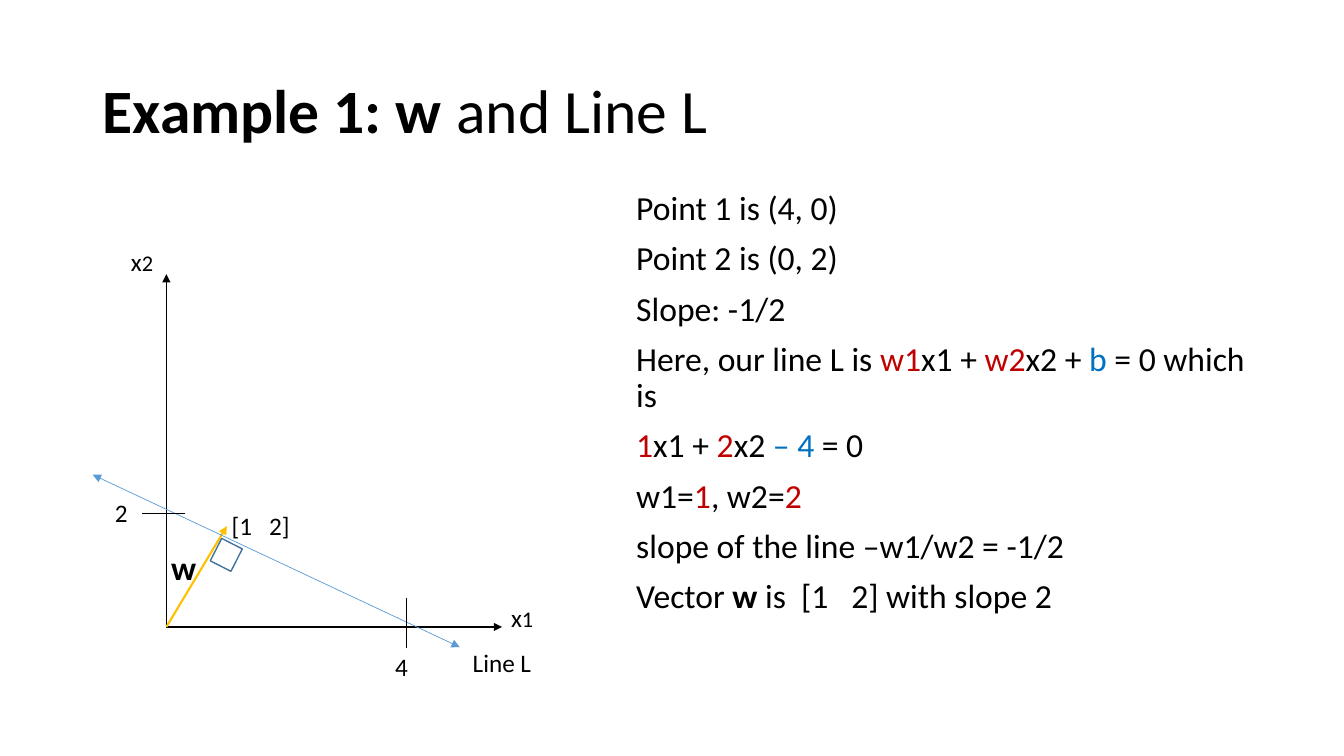
import pptx
import pptx.util
import pptx.dml.color
import pptx.enum.shapes
import pptx.enum.text
import pptx.oxml.ns
import lxml.etree

Inches, Pt = pptx.util.Inches, pptx.util.Pt
qn = pptx.oxml.ns.qn
MSO_ANCHOR = pptx.enum.text.MSO_ANCHOR
COLORS = {"ink": "000000", "weight": "C00000", "bias": "0070C0",
          "vector": "FFC000", "line": "5B9BD5", "square": "43739E"}
FONT = "Calibri"

BODY = [
    [("Point 1 is (4, 0)", "ink")],
    [("Point 2 is (0, 2)", "ink")],
    [("Slope: -1/2", "ink")],
    [("Here, our line L is ", "ink"), ("w1", "weight"), ("x1 + ", "ink"),
     ("w2", "weight"), ("x2 + ", "ink"), ("b", "bias"), (" = 0 which is", "ink")],
    [("1", "weight"), ("x1 + ", "ink"), ("2", "weight"), ("x2 ", "ink"),
     ("– 4 ", "bias"), ("= 0", "ink")],
    [("w1=", "ink"), ("1", "weight"), (", w2=", "ink"), ("2", "weight")],
    [("slope of the line –w1/w2 = -1/2", "ink")],
    [("Vector ", "ink"), ("w ", "ink", True), ("is  [1   2] with slope 2", "ink")],
]


def rgb(name):
    """Return the named colour."""
    return pptx.dml.color.RGBColor.from_string(COLORS[name])


def add_run(p, text, size, color="ink", bold=False):
    """Add one formatted run to a paragraph."""
    r = p.add_run()
    r.text = text
    r.font.name, r.font.size, r.font.bold = FONT, Pt(size), bold
    r.font.color.rgb = rgb(color)


def place(sp, x, y, w, h):
    """Move and size a shape in inches."""
    sp.left, sp.top, sp.width, sp.height = (Inches(v) for v in (x, y, w, h))


def add_title(s, x, y, w, h):
    """Fill the title placeholder."""
    sp = s.shapes.title
    place(sp, x, y, w, h)
    tf = sp.text_frame
    tf.vertical_anchor = MSO_ANCHOR.MIDDLE
    tf.auto_size = pptx.enum.text.MSO_AUTO_SIZE.NONE
    p = tf.paragraphs[0]
    p.alignment = pptx.enum.text.PP_ALIGN.LEFT
    p.line_spacing = 0.9
    add_run(p, "Example 1: w", 44, bold=True)
    add_run(p, " and Line L", 44)


def add_body(s, x, y, w, h):
    """Fill the body placeholder with unbulleted lines."""
    sp = s.placeholders[1]
    place(sp, x, y, w, h)
    tf = sp.text_frame
    tf.auto_size = pptx.enum.text.MSO_AUTO_SIZE.NONE
    for i, runs in enumerate(BODY):
        p = tf.add_paragraph() if i else tf.paragraphs[0]
        pPr = p._p.get_or_add_pPr()
        pPr.set("marL", "0")
        pPr.set("indent", "0")
        lxml.etree.SubElement(pPr, qn("a:buNone"))
        p.line_spacing = 0.9
        p.space_before = Pt(10 if i else 0)
        for text, *style in runs:
            add_run(p, text, 24, *style)


def add_line(s, x1, y1, x2, y2, color, width, head=False, tail=False):
    """Add a straight line with optional triangle arrowheads."""
    cx = s.shapes.add_connector(pptx.enum.shapes.MSO_CONNECTOR.STRAIGHT,
                                Inches(x1), Inches(y1), Inches(x2), Inches(y2))
    cx.line.color.rgb = rgb(color)
    cx.line.width = Pt(width)
    ln = cx.line._get_or_add_ln()
    for tag, shown in (("a:headEnd", head), ("a:tailEnd", tail)):
        if shown:
            lxml.etree.SubElement(ln, qn(tag), type="triangle")
    lxml.etree.SubElement(cx._element.spPr, qn("a:effectLst"))


def add_label(s, x, y, w, h, runs, wrap=True):
    """Add a text label from (text, size, color, bold) runs."""
    tf = s.shapes.add_textbox(Inches(x), Inches(y), Inches(w), Inches(h)).text_frame
    tf.word_wrap = wrap
    tf.auto_size = pptx.enum.text.MSO_AUTO_SIZE.SHAPE_TO_FIT_TEXT
    for run in runs:
        add_run(tf.paragraphs[0], *run)


def add_graph(s, x, y, w, h):
    """Draw the axes, line L and vector w in a box."""
    ox, oy = x + 0.73, y + 3.83
    tick_x, tick_y = ox + 2.38, oy - 1.13

    add_line(s, ox, oy, ox, y + 0.33, "ink", 1, tail=True)
    add_line(s, ox, oy, ox + 3.33, oy, "ink", 1, tail=True)
    add_label(s, ox + 3.32, oy - 0.29, 0.42, 0.4, [("x", 18), ("1", 16)], wrap=False)
    add_label(s, ox - 0.45, y, 0.42, 0.4, [("x", 18), ("2", 16)], wrap=False)

    add_line(s, ox, oy, ox + 0.6, oy - 1, "vector", 1.5, tail=True)
    add_label(s, ox - 0.05, oy - 0.84, 0.49, 0.5, [("w", 24, "ink", True)])
    square = s.shapes.add_shape(pptx.enum.shapes.MSO_SHAPE.RECTANGLE, Inches(ox + 0.48),
                                Inches(oy - 0.84), Inches(0.23), Inches(0.25))
    square.rotation = 27
    square.shadow.inherit = False
    square.fill.background()
    square.line.color.rgb = rgb("square")
    square.line.width = Pt(1)

    add_line(s, x, oy - 1.51, x + 3.64, oy + 0.2, "line", 0.5, head=True, tail=True)
    add_line(s, tick_x, oy - 0.29, tick_x, oy + 0.21, "ink", 0.5)
    add_line(s, ox - 0.24, tick_y, ox + 0.18, tick_y, "ink", 0.5)
    add_label(s, tick_x - 0.21, oy + 0.19, 0.74, 0.4, [("4", 18)])
    add_label(s, ox - 0.61, tick_y - 0.21, 0.37, 0.4, [("2", 18)])
    add_label(s, x + w - 1.21, y + h - 0.4, 1.21, 0.4, [("Line L", 18)])
    add_label(s, ox + 0.55, oy - 1.21, 0.96, 0.4, [("[1   2]", 18)])


def main():
    """Build and save the slide."""
    prs = pptx.Presentation()
    prs.slide_width, prs.slide_height = Inches(13.33), Inches(7.5)
    s = prs.slides.add_slide(prs.slide_layouts[1])
    add_title(s, 0.92, 0.4, 11.5, 1.45)
    add_body(s, 6.21, 1.85, 6.47, 4.81)
    add_graph(s, 0.92, 2.39, 4.88, 4.38)
    prs.save("out.pptx")


if __name__ == "__main__":
    main()
